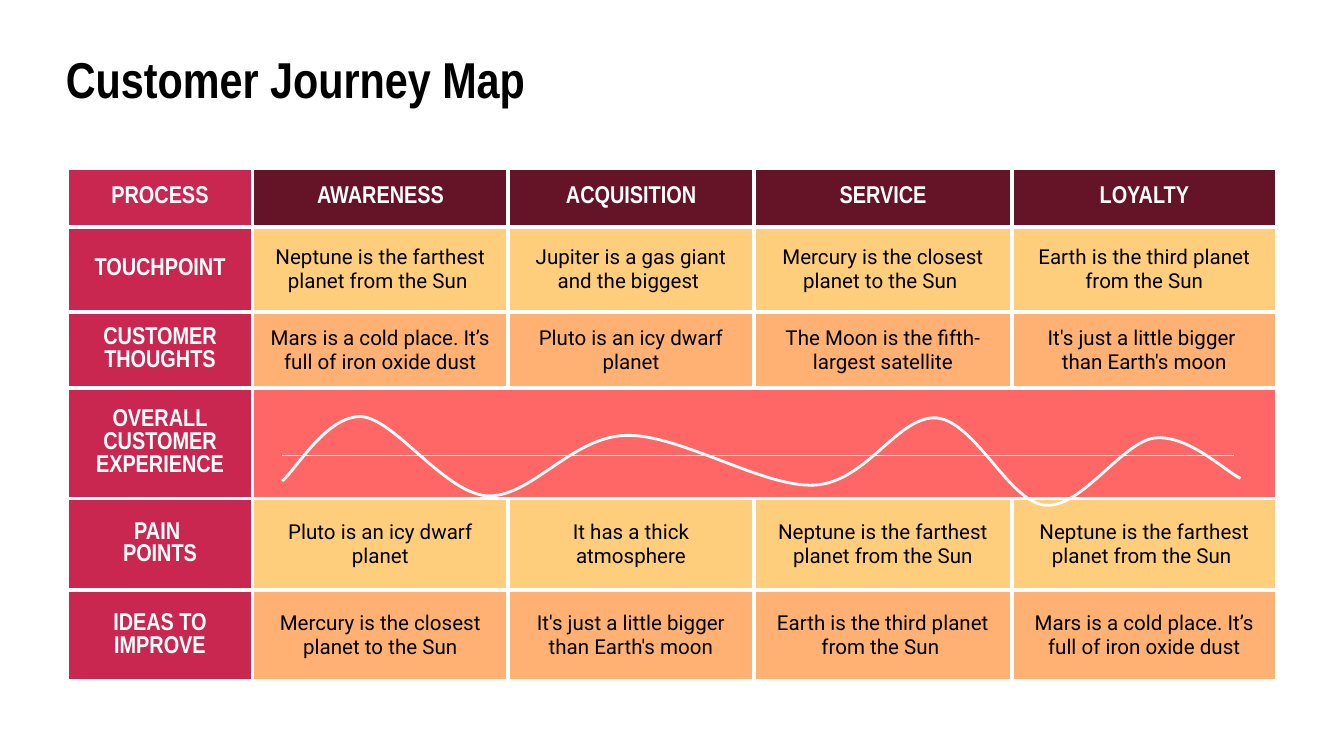
import pptx
import pptx.dml.color
import pptx.enum.shapes
import pptx.enum.text
import pptx.oxml.ns
import pptx.util
from lxml import etree

PX = 9144  # EMU in one px, 100 px to the inch

WHITE = pptx.dml.color.RGBColor(0xFF, 0xFF, 0xFF)
BLACK = pptx.dml.color.RGBColor(0x00, 0x00, 0x00)
CRIMSON = pptx.dml.color.RGBColor(0xC9, 0x27, 0x4F)
MAROON = pptx.dml.color.RGBColor(0x65, 0x14, 0x28)
YELLOW = pptx.dml.color.RGBColor(0xFF, 0xCE, 0x7D)
ORANGE = pptx.dml.color.RGBColor(0xFF, 0xB1, 0x74)
CORAL = pptx.dml.color.RGBColor(0xFF, 0x66, 0x66)

HEAD_FONT = "Arial Narrow"
BODY_FONT = "Roboto"

COLUMNS = [138, 190, 183, 192, 197]
ROWS = [
    # height, fill of the stage cells, texts
    (44, MAROON, ["PROCESS", "AWARENESS", "ACQUISITION", "SERVICE", "LOYALTY"]),
    (63, YELLOW, ["TOUCHPOINT",
                  "Neptune is the farthest planet from the Sun ",
                  "Jupiter is a gas giant and the biggest ",
                  "Mercury is the closest planet to the Sun ",
                  "Earth is the third planet from the Sun"]),
    (57, ORANGE, ["CUSTOMER THOUGHTS",
                  "Mars is a cold place. It’s full of iron oxide dust",
                  "Pluto is an icy dwarf planet",
                  "The Moon is the fifth-largest satellite",
                  "It's just a little bigger \nthan Earth's moon"]),
    (82, CORAL, ["OVERALL\nCUSTOMER\nEXPERIENCE", "", "", "", ""]),
    (68, YELLOW, ["PAIN \nPOINTS",
                  "Pluto is an icy dwarf planet",
                  "It has a thick atmosphere",
                  "Neptune is the farthest planet from the Sun",
                  "Neptune is the farthest planet from the Sun "]),
    (68, ORANGE, ["IDEAS TO IMPROVE",
                  "Mercury is the closest planet to the Sun",
                  "It's just a little bigger than Earth's moon",
                  "Earth is the third planet from the Sun ",
                  "Mars is a cold place. It’s full of iron oxide dust"]),
]

# Each step of the wave: two control points, then the point reached
WAVE_START = (210, 358)
WAVE = [
    [(220, 350), (243, 309), (269, 310)],
    [(294, 312), (330, 366), (362, 369)],
    [(395, 371), (425, 325), (466, 324)],
    [(506, 323), (568, 363), (606, 361)],
    [(645, 359), (668, 309), (697, 311)],
    [(726, 314), (751, 374), (778, 376)],
    [(805, 378), (835, 329), (859, 326)],
    [(884, 323), (912, 351), (923, 356)],
]


def px(length):
    return pptx.util.Emu(length * PX)


def write(frame, text, font=BODY_FONT, size=11, color=BLACK, bold=False,
          align=pptx.enum.text.PP_ALIGN.CENTER):
    """Put text in a frame, one paragraph a line, all in one format."""
    frame.text = text
    for para in frame.paragraphs:
        para.alignment = align
        for span in para.runs:
            span.font.name = font
            span.font.size = pptx.util.Pt(size)
            span.font.bold = bold
            span.font.color.rgb = color


class Page:
    """The current slide and the style of its elements."""

    margin = px(10)
    line_color = WHITE
    border_width = 2.25

    def __init__(self, deck):
        self.slide = deck.slides.add_slide(deck.slide_layouts[5])

    def title(self, text, left, top, width, height):
        box = self.slide.shapes.title
        box.left, box.top, box.width, box.height = map(px, (left, top, width, height))
        frame = box.text_frame
        frame.auto_size = pptx.enum.text.MSO_AUTO_SIZE.NONE
        frame.vertical_anchor = pptx.enum.text.MSO_ANCHOR.TOP
        frame.margin_left = frame.margin_right = self.margin
        frame.margin_top = frame.margin_bottom = self.margin
        write(frame, text, font=HEAD_FONT, size=27, bold=True,
              align=pptx.enum.text.PP_ALIGN.LEFT)

    def borders(self, cell, hidden):
        properties = cell._tc.get_or_add_tcPr()
        for side in "LRTB":
            line = etree.SubElement(properties, pptx.oxml.ns.qn(f"a:ln{side}"),
                                    w=str(pptx.util.Pt(self.border_width)))
            if side in hidden:
                etree.SubElement(line, pptx.oxml.ns.qn("a:noFill"))
            else:
                fill = etree.SubElement(line, pptx.oxml.ns.qn("a:solidFill"))
                etree.SubElement(fill, pptx.oxml.ns.qn("a:srgbClr"), val=str(self.line_color))

    def cell(self, cell, text, fill, heading, hidden=""):
        self.borders(cell, hidden)
        cell.fill.solid()
        cell.fill.fore_color.rgb = fill
        cell.vertical_anchor = pptx.enum.text.MSO_ANCHOR.MIDDLE
        cell.margin_left = cell.margin_right = self.margin
        cell.margin_top = cell.margin_bottom = self.margin
        if heading:
            write(cell.text_frame, text, font=HEAD_FONT, size=13, color=WHITE, bold=True)
        elif text:
            write(cell.text_frame, text)

    def table(self, left, top, columns, rows):
        height = sum(row[0] for row in rows)
        table = self.slide.shapes.add_table(
            len(rows), len(columns), px(left), px(top), px(sum(columns)), px(height)).table
        table.first_row = table.horz_banding = False
        for column, width in zip(table.columns, columns):
            column.width = px(width)
        last = len(columns) - 1
        for r, (height, stage_fill, texts) in enumerate(rows):
            table.rows[r].height = px(height)
            for c, text in enumerate(texts):
                # Empty cells join into one strip
                hidden = "" if text else ("L" if c > 1 else "") + ("R" if c < last else "")
                self.cell(table.cell(r, c), text, stage_fill if c else CRIMSON,
                          heading=r == 0 or c == 0, hidden=hidden)

    def line(self, start, end, width):
        line = self.slide.shapes.add_connector(
            pptx.enum.shapes.MSO_CONNECTOR.STRAIGHT, *map(px, start + end))
        line.line.color.rgb = self.line_color
        line.line.width = pptx.util.Pt(width)
        etree.SubElement(line._element.spPr, pptx.oxml.ns.qn("a:effectLst"))

    def curve(self, start, steps, width):
        builder = self.slide.shapes.build_freeform(*start, scale=PX)
        builder.add_line_segments([step[-1] for step in steps], close=False)
        curve = builder.convert_to_shape()
        left, top = curve.left // PX, curve.top // PX
        # Turn the straight segments into Bezier curves
        segments = list(curve._element.iter(pptx.oxml.ns.qn("a:lnTo")))
        for segment, step in zip(segments, steps):
            bezier = etree.Element(pptx.oxml.ns.qn("a:cubicBezTo"))
            for x, y in step:
                etree.SubElement(bezier, pptx.oxml.ns.qn("a:pt"), x=str(x - left), y=str(y - top))
            segment.getparent().replace(segment, bezier)
        curve.fill.background()
        curve.line.color.rgb = self.line_color
        curve.line.width = pptx.util.Pt(width)
        curve.shadow.inherit = False


def main():
    deck = pptx.Presentation()
    deck.slide_width = px(1000)
    deck.slide_height = pptx.util.Emu(deck.slide_width * 9 // 16)
    page = Page(deck)

    # Heading
    page.title("Customer Journey Map", 39, 26, 449, 62)

    # Journey stages
    page.table(50, 125, COLUMNS, ROWS)

    # Experience wave around its middle line
    page.line((210, 339), (918, 339), width=0.75)
    page.curve(WAVE_START, WAVE, width=1.5)

    deck.save("out.pptx")


if __name__ == "__main__":
    main()
